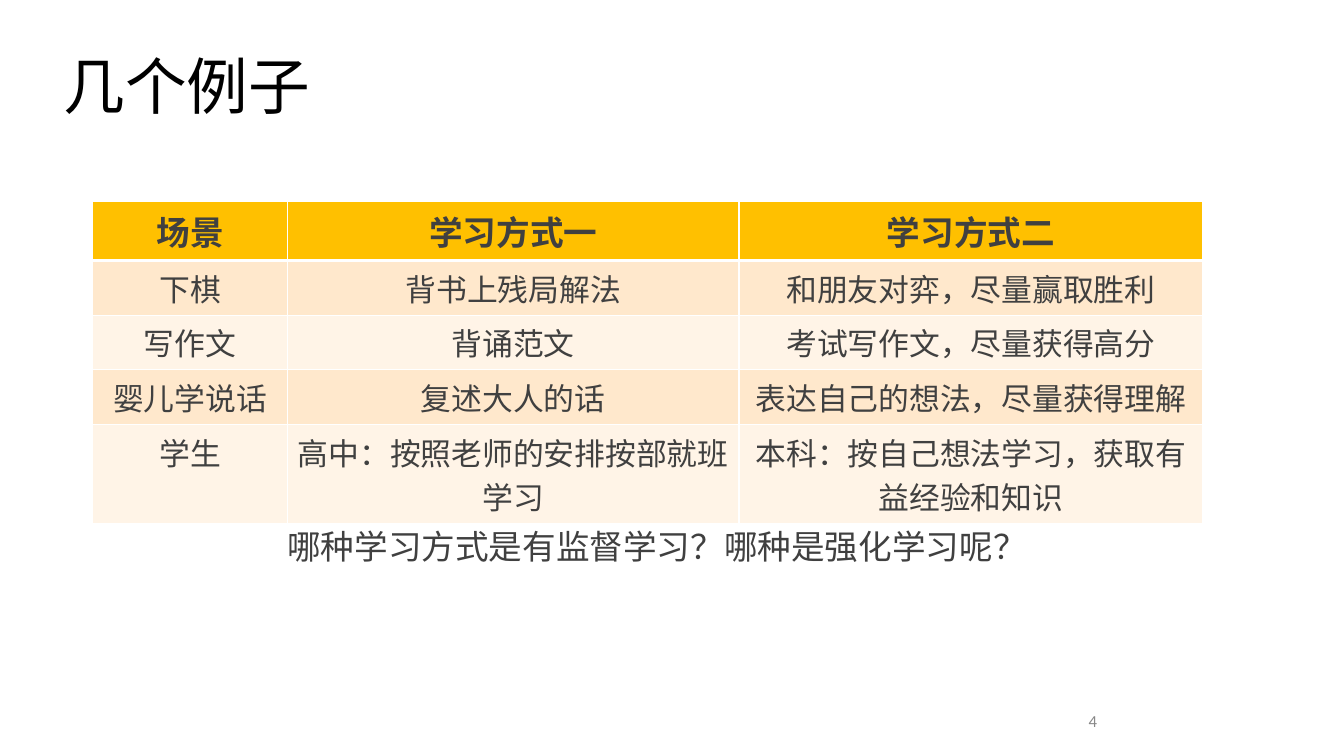
from dataclasses import dataclass

from lxml import etree
from pptx import Presentation
from pptx.dml.color import RGBColor
from pptx.enum.text import MSO_ANCHOR, MSO_AUTO_SIZE, PP_ALIGN
from pptx.oxml.ns import qn
from pptx.util import Emu, Pt

LEFT, CENTER, RIGHT = PP_ALIGN.LEFT, PP_ALIGN.CENTER, PP_ALIGN.RIGHT
TOP, MIDDLE = MSO_ANCHOR.TOP, MSO_ANCHOR.MIDDLE
NO_FIT, GROW = MSO_AUTO_SIZE.NONE, MSO_AUTO_SIZE.SHAPE_TO_FIT_TEXT
EMU_PER_PX = 9144  # 100 px to the inch
LAYOUT_TITLE_ONLY = 5


@dataclass(frozen=True)
class Theme:
    black: str = "000000"
    ink: str = "404040"
    muted: str = "888888"
    rule: str = "FFFFFF"
    header: str = "FFC000"
    bands: tuple = ("FFE8CC", "FFF4E7")
    body_font: str = "Arial"
    title_font: str = "Calibri"
    title_size: int = 44
    lead_size: int = 24
    cell_size: int = 22
    number_size: int = 12


THEME = Theme()


def px(length):
    return Emu(length * EMU_PER_PX)


def write(frame, text, *, size, color=THEME.ink, font=THEME.body_font,
          bold=False, align=LEFT, spacing=None):
    paragraph = frame.paragraphs[0]
    paragraph.alignment = align
    paragraph.line_spacing = spacing
    run = paragraph.add_run()
    run.text = text
    run.font.name = font
    run.font.size = Pt(size)
    run.font.bold = bold
    run.font.color.rgb = RGBColor.from_string(color)


class SlideBuilder:
    def __init__(self, deck, theme):
        self.theme = theme
        self.slide = deck.slides.add_slide(deck.slide_layouts[LAYOUT_TITLE_ONLY])

    def title(self, text, box):
        heading = self.slide.shapes.title
        heading.left, heading.top, heading.width, heading.height = map(px, box)
        frame = heading.text_frame
        frame.auto_size = NO_FIT
        frame.vertical_anchor = MIDDLE
        write(frame, text, size=self.theme.title_size, color=self.theme.black,
              font=self.theme.title_font, spacing=0.9)

    def label(self, text, box, anchor=TOP, **text_format):
        frame = self.slide.shapes.add_textbox(*map(px, box)).text_frame
        frame.word_wrap = False
        frame.auto_size = GROW
        frame.vertical_anchor = anchor
        write(frame, text, **text_format)

    def border(self, cell, side, points):
        line = etree.SubElement(cell._tc.get_or_add_tcPr(), qn(f"a:ln{side}"),
                                w=str(Pt(points)))
        fill = etree.SubElement(line, qn("a:solidFill"))
        etree.SubElement(fill, qn("a:srgbClr"), val=self.theme.rule)

    def table(self, rows, box, widths, heights):
        holder = self.slide.shapes.add_table(len(rows), len(widths), *map(px, box))
        grid = holder.table
        for column, width in zip(grid.columns, widths):
            column.width = px(width)
        for row, height in zip(grid.rows, heights):
            row.height = px(height)
        # Rows grow with their text beyond these minimum heights
        holder.height = px(box[3])

        for r, texts in enumerate(rows):
            is_header = r == 0
            fill = self.theme.header if is_header else self.theme.bands[(r - 1) % 2]
            size = self.theme.lead_size if is_header else self.theme.cell_size
            weights = {"L": 1, "R": 1, "T": 3 if r == 1 else 1,
                       "B": 3 if is_header else 1}
            for c, text in enumerate(texts):
                cell = grid.cell(r, c)
                for side, points in weights.items():
                    self.border(cell, side, points)
                cell.fill.solid()
                cell.fill.fore_color.rgb = RGBColor.from_string(fill)
                write(cell.text_frame, text, size=size, bold=is_header, align=CENTER)


def main():
    deck = Presentation()
    deck.slide_width, deck.slide_height = px(1333), px(750)
    examples = SlideBuilder(deck, THEME)

    # Title
    examples.title("几个例子", (53, 16, 1045, 145))

    # Two ways of learning in each scene
    scenes = [
        ("场景", "学习方式一", "学习方式二"),
        ("下棋", "背书上残局解法", "和朋友对弈，尽量赢取胜利"),
        ("写作文", "背诵范文", "考试写作文，尽量获得高分"),
        ("婴儿学说话", "复述大人的话", "表达自己的想法，尽量获得理解"),
        ("学生", "高中：按照老师的安排按部就班学习",
         "本科：按自己想法学习，获取有益经验和知识"),
    ]
    examples.table(scenes, (92, 200, 1101, 273), widths=(193, 448, 460),
                   heights=(21, 41, 41, 41, 41))

    # Question and page number
    examples.label("哪种学习方式是有监督学习？哪种是强化学习呢？",
                   (275, 517, 761, 50), size=THEME.lead_size)
    examples.label("4", (1058, 695, 40, 40), anchor=MIDDLE, align=RIGHT,
                   size=THEME.number_size, color=THEME.muted, font=THEME.title_font)

    deck.save("out.pptx")


if __name__ == "__main__":
    main()
